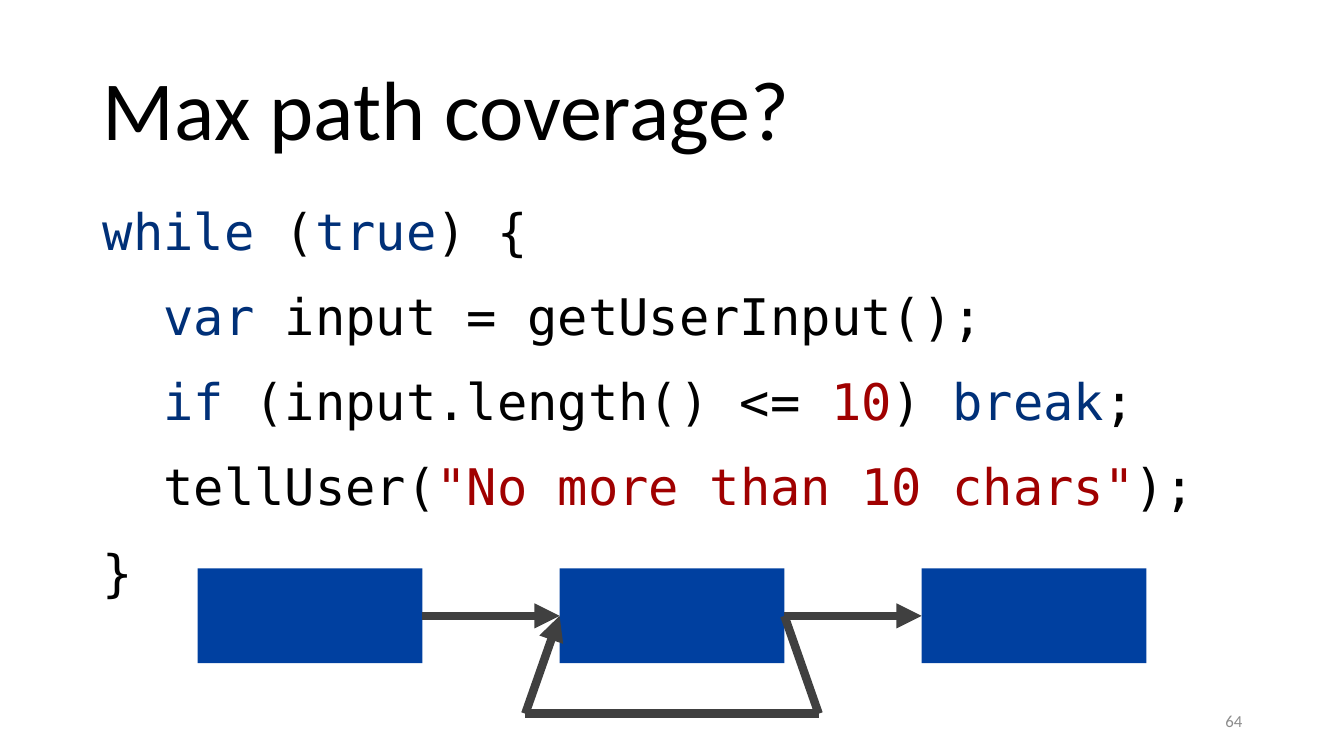
from lxml.etree import SubElement
from pptx import Presentation
from pptx.dml.color import RGBColor
from pptx.enum.shapes import MSO_CONNECTOR, MSO_SHAPE
from pptx.enum.text import MSO_ANCHOR, PP_ALIGN
from pptx.oxml.ns import qn
from pptx.util import Inches, Pt

BLACK = RGBColor(0x00, 0x00, 0x00)
GRAY = RGBColor(0x8C, 0x8C, 0x8C)
DARK_GRAY = RGBColor(0x40, 0x40, 0x40)
BLUE = RGBColor(0x00, 0x40, 0xA0)
KEYWORD = RGBColor(0x00, 0x30, 0x78)
LITERAL = RGBColor(0xA0, 0x00, 0x00)

CODE_LINES = [
    [("while", KEYWORD), (" (", BLACK), ("true", KEYWORD), (") {", BLACK)],
    [("  ", BLACK), ("var", KEYWORD), (" input = getUserInput();", BLACK)],
    [("  ", BLACK), ("if", KEYWORD), (" (input.length() <= ", BLACK),
     ("10", LITERAL), (") ", BLACK), ("break", KEYWORD), (";", BLACK)],
    [("  tellUser(", BLACK), ('"No more than 10 chars"', LITERAL), (");", BLACK)],
    [("}", BLACK)],
]

NODE_LEFT, NODE_TOP = 1.96, 5.64
NODE_WIDTH, NODE_HEIGHT = 2.23, 0.94
NODE_PITCH = 3.59
LOOP_BOTTOM, LOOP_OVERHANG = 7.08, 0.34


def add_run(paragraph, text, size=12, font="Calibri", color=BLACK):
    run = paragraph.add_run()
    run.text = text
    run.font.size = Pt(size)
    run.font.name = font
    run.font.color.rgb = color


class SlideBuilder:
    """Holds the current slide and the style of its elements."""

    code_font = "DejaVu Sans Mono"
    code_size = 36
    line_width = 6

    def __init__(self, presentation):
        self.slide = presentation.slides.add_slide(presentation.slide_layouts[5])

    def title(self, text, left, top, width, height):
        shape = self.slide.shapes.title
        shape.left, shape.top = Inches(left), Inches(top)
        shape.width, shape.height = Inches(width), Inches(height)
        shape.text_frame.vertical_anchor = MSO_ANCHOR.MIDDLE
        paragraph = shape.text_frame.paragraphs[0]
        paragraph.alignment = PP_ALIGN.LEFT
        paragraph.line_spacing = 0.9
        add_run(paragraph, text, size=60)

    def text_box(self, left, top, width, height, anchor=MSO_ANCHOR.TOP):
        box = self.slide.shapes.add_textbox(
            Inches(left), Inches(top), Inches(width), Inches(height))
        box.text_frame.word_wrap = True
        box.text_frame.vertical_anchor = anchor
        return box.text_frame

    def code(self, lines, left, top, width, height):
        frame = self.text_box(left, top, width, height)
        for index, line in enumerate(lines):
            paragraph = frame.add_paragraph() if index else frame.paragraphs[0]
            paragraph.line_spacing = 0.9
            paragraph.space_before = Pt(10 if index else 0)
            paragraph.space_after = Pt(12)
            for text, color in line:
                add_run(paragraph, text, size=self.code_size,
                        font=self.code_font, color=color)

    def slide_number(self, text, left, top, width, height):
        frame = self.text_box(left, top, width, height, MSO_ANCHOR.MIDDLE)
        frame.paragraphs[0].alignment = PP_ALIGN.RIGHT
        add_run(frame.paragraphs[0], text, color=GRAY)

    def node(self, left):
        shape = self.slide.shapes.add_shape(
            MSO_SHAPE.RECTANGLE, Inches(left), Inches(NODE_TOP),
            Inches(NODE_WIDTH), Inches(NODE_HEIGHT))
        shape.shadow.inherit = False
        shape.fill.solid()
        shape.fill.fore_color.rgb = BLUE
        shape.line.fill.background()

    def line(self, start, end, arrow=False):
        connector = self.slide.shapes.add_connector(
            MSO_CONNECTOR.STRAIGHT, *map(Inches, start + end))
        connector.line.color.rgb = DARK_GRAY
        connector.line.width = Pt(self.line_width)
        if arrow:
            SubElement(connector.line._get_or_add_ln(), qn("a:tailEnd"), type="triangle")
        SubElement(connector._element.spPr, qn("a:effectLst"))


def main():
    presentation = Presentation()
    presentation.slide_width = Inches(13.33)
    presentation.slide_height = Inches(7.5)

    builder = SlideBuilder(presentation)
    builder.title("Max path coverage?", 0.92, 0.4, 11.5, 1.45)
    builder.code(CODE_LINES, 0.92, 2, 11.5, 4.76)
    builder.slide_number("64", 9.42, 6.95, 3, 0.4)

    node_lefts = [NODE_LEFT + NODE_PITCH * index for index in range(3)]
    for left in node_lefts:
        builder.node(left)

    middle = NODE_TOP + NODE_HEIGHT / 2
    for left, next_left in zip(node_lefts, node_lefts[1:]):
        builder.line((left + NODE_WIDTH, middle), (next_left, middle), arrow=True)

    loop_entry = (node_lefts[1], middle)
    loop_exit = (node_lefts[1] + NODE_WIDTH, middle)
    loop_left = (loop_entry[0] - LOOP_OVERHANG, LOOP_BOTTOM)
    loop_right = (loop_exit[0] + LOOP_OVERHANG, LOOP_BOTTOM)
    builder.line(loop_exit, loop_right)
    builder.line(loop_right, loop_left)
    builder.line(loop_left, loop_entry, arrow=True)

    presentation.save("out.pptx")


if __name__ == "__main__":
    main()
